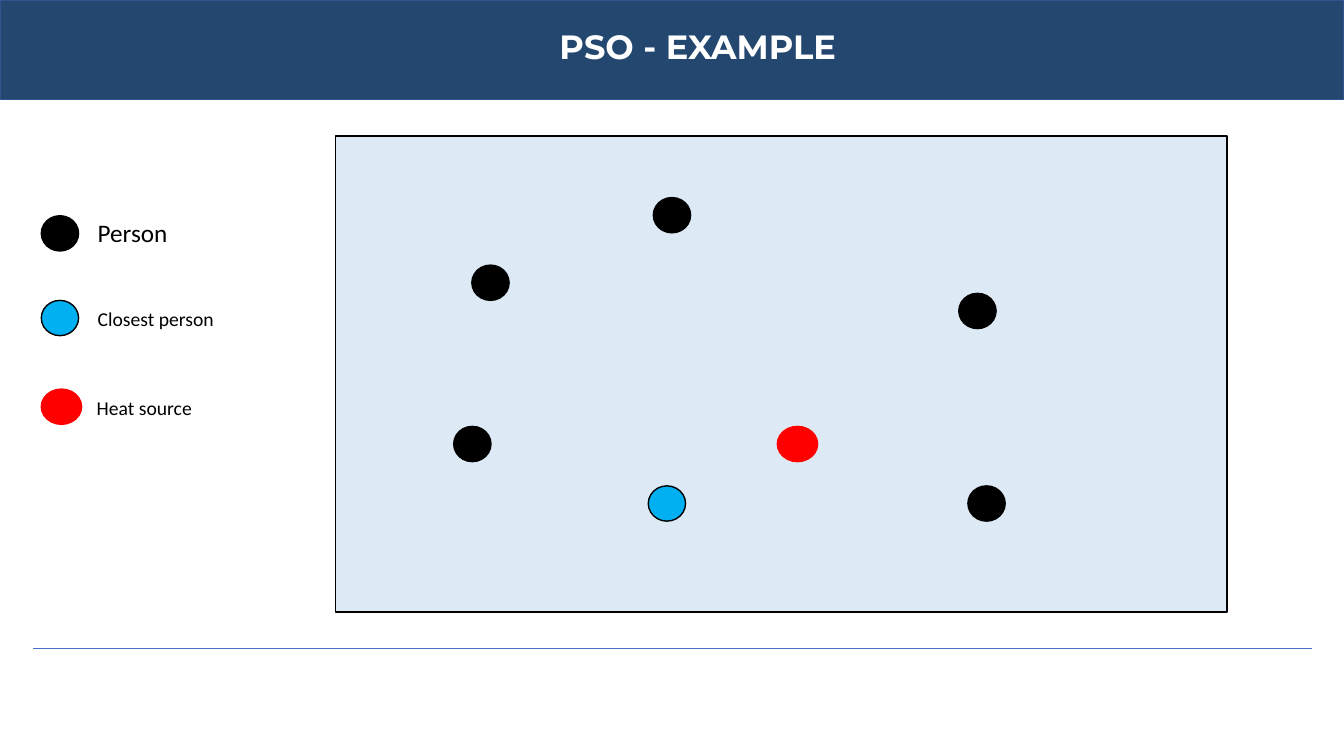
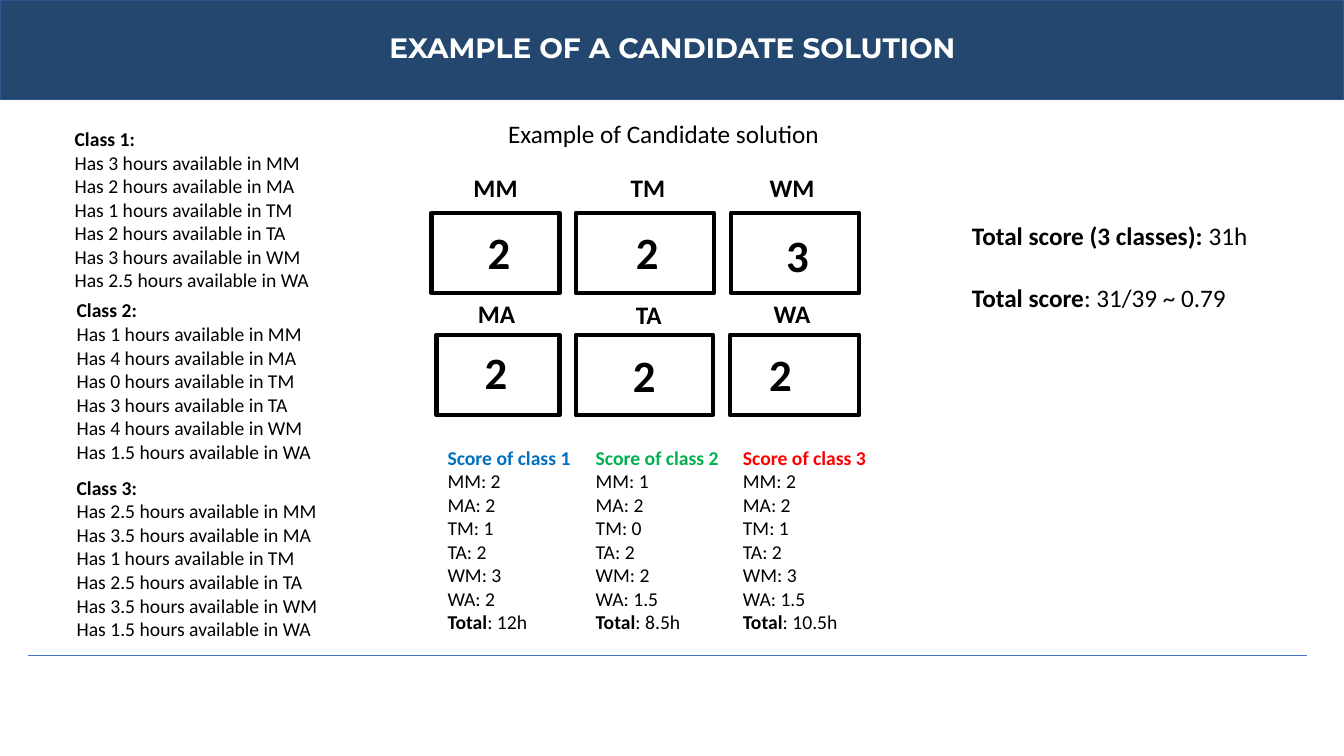
"""Build two slides on swarm optimisation and a timetable candidate solution."""

from dataclasses import dataclass
from typing import Any, NamedTuple, Optional

import pptx
import pptx.dml.color
import pptx.enum.shapes
import pptx.enum.text
import pptx.oxml.ns
import pptx.util
from lxml import etree

EMU_PER_PX = 9144
ALIGN = pptx.enum.text.PP_ALIGN
SHAPE = pptx.enum.shapes.MSO_SHAPE


@dataclass(frozen=True)
class Theme:
    band: str = "23476F"
    band_edge: str = "31538F"
    rule: str = "4472C4"
    field: str = "DDEAF6"
    ink: str = "000000"
    paper: str = "FFFFFF"
    closest: str = "00B0F0"
    heat: str = "FF0000"
    scores: tuple[str, ...] = ("0070C0", "00B050", "FF0000")
    title_font: str = "Montserrat"
    body_font: str = "Calibri"
    note: int = 14
    label: int = 18
    number: int = 32


THEME = Theme()


class Box(NamedTuple):
    left: int
    top: int
    width: int
    height: int


class DotStyle(NamedTuple):
    fill: str
    edge: str
    width: int


class Dot(NamedTuple):
    style: DotStyle
    left: int
    top: int


class LegendEntry(NamedTuple):
    dot: Dot
    text: str
    size: int
    box: Box


class Slot(NamedTuple):
    name: str
    value: str
    frame: Box
    name_at: tuple[int, int]
    value_at: tuple[int, int]


class ClassPlan(NamedTuple):
    box: Box
    available: tuple[str, ...]
    scores: tuple[str, ...]
    total: str


PERSON = DotStyle(THEME.ink, THEME.ink, 37)
CLOSEST = DotStyle(THEME.closest, THEME.ink, 37)
HEAT = DotStyle(THEME.heat, THEME.heat, 40)
DOT_HEIGHT = 35

FIELD = Box(333, 135, 884, 472)
SWARM = (
    Dot(HEAT, 771, 423),
    Dot(PERSON, 468, 263),
    Dot(PERSON, 960, 482),
    Dot(PERSON, 951, 291),
    Dot(CLOSEST, 643, 482),
    Dot(PERSON, 450, 423),
    Dot(PERSON, 648, 196),
)
LEGEND = (
    LegendEntry(Dot(PERSON, 41, 214), "Person", THEME.label, Box(87, 211, 149, 40)),
    LegendEntry(Dot(CLOSEST, 41, 298), "Closest person", THEME.note, Box(87, 300, 211, 34)),
    LegendEntry(Dot(HEAT, 41, 386), "Heat source", THEME.note, Box(86, 388, 211, 34)),
)

PERIODS = ("MM", "MA", "TM", "TA", "WM", "WA")
SLOTS = (
    Slot("MM", "2", Box(428, 211, 127, 80), (448, 166), (451, 218)),
    Slot("TM", "2", Box(571, 211, 137, 80), (599, 166), (598, 218)),
    Slot("WM", "3", Box(725, 211, 127, 80), (742, 166), (747, 221)),
    Slot("MA", "2", Box(433, 332, 122, 80), (449, 291), (448, 337)),
    Slot("TA", "2", Box(571, 332, 136, 80), (600, 292), (595, 340)),
    Slot("WA", "2", Box(724, 332, 128, 80), (742, 291), (730, 339)),
)
CLASSES = (
    ClassPlan(Box(64, 121, 459, 199), ("3", "2", "1", "2", "3", "2.5"),
              ("2", "2", "1", "2", "3", "2"), "12h"),
    ClassPlan(Box(66, 291, 459, 199), ("1", "4", "0", "3", "4", "1.5"),
              ("1", "2", "0", "2", "2", "1.5"), "8.5h"),
    ClassPlan(Box(66, 467, 459, 199), ("2.5", "3.5", "1", "2.5", "3.5", "1.5"),
              ("2", "2", "1", "2", "3", "1.5"), "10.5h"),
)
SCORE_LEFTS = (434, 581, 727)


def px(length: int) -> int:
    """Turn px into EMU."""
    return pptx.util.Emu(length * EMU_PER_PX)


def rgb(value: str) -> pptx.dml.color.RGBColor:
    """Turn a hex string into a colour."""
    return pptx.dml.color.RGBColor.from_string(value)


def write(frame: Any, text: str, *, size: int = THEME.note, color: str = THEME.ink,
          bold: bool = False, font: str = THEME.body_font, align: Any = ALIGN.LEFT,
          before: int = 0, inline: bool = False) -> None:
    """Append text as a new paragraph, or inline to the last one."""
    paragraph = frame.paragraphs[-1]
    if paragraph.runs and not inline:
        paragraph = frame.add_paragraph()
    if not inline:
        paragraph.alignment = align
        paragraph.space_before = pptx.util.Pt(before)
    run = paragraph.add_run()
    run.text = text
    run.font.size = pptx.util.Pt(size)
    run.font.name = font
    run.font.bold = bold
    run.font.color.rgb = rgb(color)


def prepare_frame(frame: Any, anchor: Any = pptx.enum.text.MSO_ANCHOR.TOP) -> Any:
    """Make a text frame wrap at a fixed size."""
    frame.word_wrap = True
    frame.auto_size = pptx.enum.text.MSO_AUTO_SIZE.NONE
    frame.vertical_anchor = anchor
    return frame


def text_box(slide: Any, box: Box) -> Any:
    """Add a text box and return its frame."""
    return prepare_frame(slide.shapes.add_textbox(*map(px, box)).text_frame)


def place(placeholder: Any, box: Box) -> None:
    """Move a placeholder into a box."""
    placeholder.left, placeholder.top, placeholder.width, placeholder.height = map(px, box)


def body_frame(placeholder: Any, box: Box) -> Any:
    """Place a body placeholder and return its frame."""
    place(placeholder, box)
    return prepare_frame(placeholder.text_frame)


def clear_bullets(frame: Any) -> None:
    """Remove bullets and indents from every paragraph."""
    for paragraph in frame.paragraphs:
        properties = paragraph._p.get_or_add_pPr()
        properties.set("marL", "0")
        properties.set("indent", "0")
        etree.SubElement(properties, pptx.oxml.ns.qn("a:buNone"))


def add_shape(slide: Any, kind: Any, box: Box, fill: Optional[str], edge: str,
              weight: int = 1) -> Any:
    """Add a flat outlined shape."""
    shape = slide.shapes.add_shape(kind, *map(px, box))
    shape.shadow.inherit = False
    if fill:
        shape.fill.solid()
        shape.fill.fore_color.rgb = rgb(fill)
    else:
        shape.fill.background()
    shape.line.color.rgb = rgb(edge)
    shape.line.width = pptx.util.Pt(weight)
    return shape


def add_dot(slide: Any, dot: Dot) -> None:
    """Add one person or heat source."""
    box = Box(dot.left, dot.top, dot.style.width, DOT_HEIGHT)
    add_shape(slide, SHAPE.OVAL, box, dot.style.fill, dot.style.edge)


def start_slide(deck: Any, layout: str, title: str, title_box: Box, title_size: int,
                rule_left: int, rule_top: int) -> Any:
    """Add a slide with its band, title and footer rule."""
    slide = deck.slides.add_slide(deck.slide_layouts.get_by_name(layout))
    band = add_shape(slide, SHAPE.RECTANGLE, Box(0, 0, 1333, 99), THEME.band, THEME.band_edge)
    band.element.getparent().insert(2, band.element)
    place(slide.shapes.title, title_box)
    frame = prepare_frame(slide.shapes.title.text_frame, pptx.enum.text.MSO_ANCHOR.MIDDLE)
    write(frame, title, size=title_size, color=THEME.paper, bold=True,
          font=THEME.title_font, align=ALIGN.CENTER)
    rule = slide.shapes.add_connector(
        pptx.enum.shapes.MSO_CONNECTOR.STRAIGHT,
        px(rule_left), px(rule_top), px(rule_left + 1268), px(rule_top))
    rule.line.color.rgb = rgb(THEME.rule)
    rule.line.width = pptx.util.Pt(0.75)
    etree.SubElement(rule.element.spPr, pptx.oxml.ns.qn("a:effectLst"))
    return slide


def build_swarm(deck: Any) -> None:
    """Draw the heat source search."""
    slide = start_slide(deck, "Title Only", "PSO - EXAMPLE", Box(278, 21, 828, 50), 24, 33, 643)
    add_shape(slide, SHAPE.RECTANGLE, FIELD, THEME.field, THEME.ink)
    for dot in SWARM:
        add_dot(slide, dot)
    for entry in LEGEND:
        add_dot(slide, entry.dot)
        write(text_box(slide, entry.box), entry.text, size=entry.size)


def add_slot(slide: Any, slot: Slot) -> None:
    """Draw one timetable slot with its name and value."""
    add_shape(slide, SHAPE.RECTANGLE, slot.frame, None, THEME.ink, 3)
    write(text_box(slide, Box(*slot.name_at, 87, 40)), slot.name,
          size=THEME.label, bold=True, align=ALIGN.CENTER)
    write(text_box(slide, Box(*slot.value_at, 88, 64)), slot.value,
          size=THEME.number, bold=True, align=ALIGN.CENTER)


def build_candidate(deck: Any) -> None:
    """Draw the candidate solution with its scores."""
    slide = start_slide(deck, "Comparison", "EXAMPLE OF A CANDIDATE SOLUTION",
                        Box(253, 25, 828, 44), 20, 28, 650)
    *class_bodies, total_body = list(slide.placeholders)[1:]
    for slot in SLOTS:
        add_slot(slide, slot)
    for number, (plan, body, left, color) in enumerate(
            zip(CLASSES, class_bodies, SCORE_LEFTS, THEME.scores), start=1):
        hours = body_frame(body, plan.box)
        write(hours, f"Class {number}:", bold=True, align=ALIGN.JUSTIFY)
        scores = text_box(slide, Box(left, 437, 191, 199))
        write(scores, f"Score of class {number}", color=color, bold=True)
        for period, available, score in zip(PERIODS, plan.available, plan.scores):
            write(hours, f"Has {available} hours available in {period}", align=ALIGN.JUSTIFY)
            write(scores, f"{period}: {score}")
        write(scores, "Total", bold=True)
        write(scores, f": {plan.total}", inline=True)
        clear_bullets(hours)
    totals = body_frame(total_body, Box(954, 214, 309, 101))
    write(totals, "Total score (3 classes): ", size=THEME.label, bold=True)
    write(totals, "31h", size=THEME.label, inline=True)
    write(totals, "Total score", size=THEME.label, bold=True, before=22)
    write(totals, ": 31/39 ~ 0.79", size=THEME.label, inline=True)
    clear_bullets(totals)
    write(text_box(slide, Box(494, 112, 345, 40)), "Example of Candidate solution",
          size=THEME.label)


def main() -> None:
    """Build and save the deck."""
    deck = pptx.Presentation()
    deck.slide_width, deck.slide_height = px(1333), px(750)
    build_swarm(deck)
    build_candidate(deck)
    deck.save("out.pptx")


if __name__ == "__main__":
    main()
